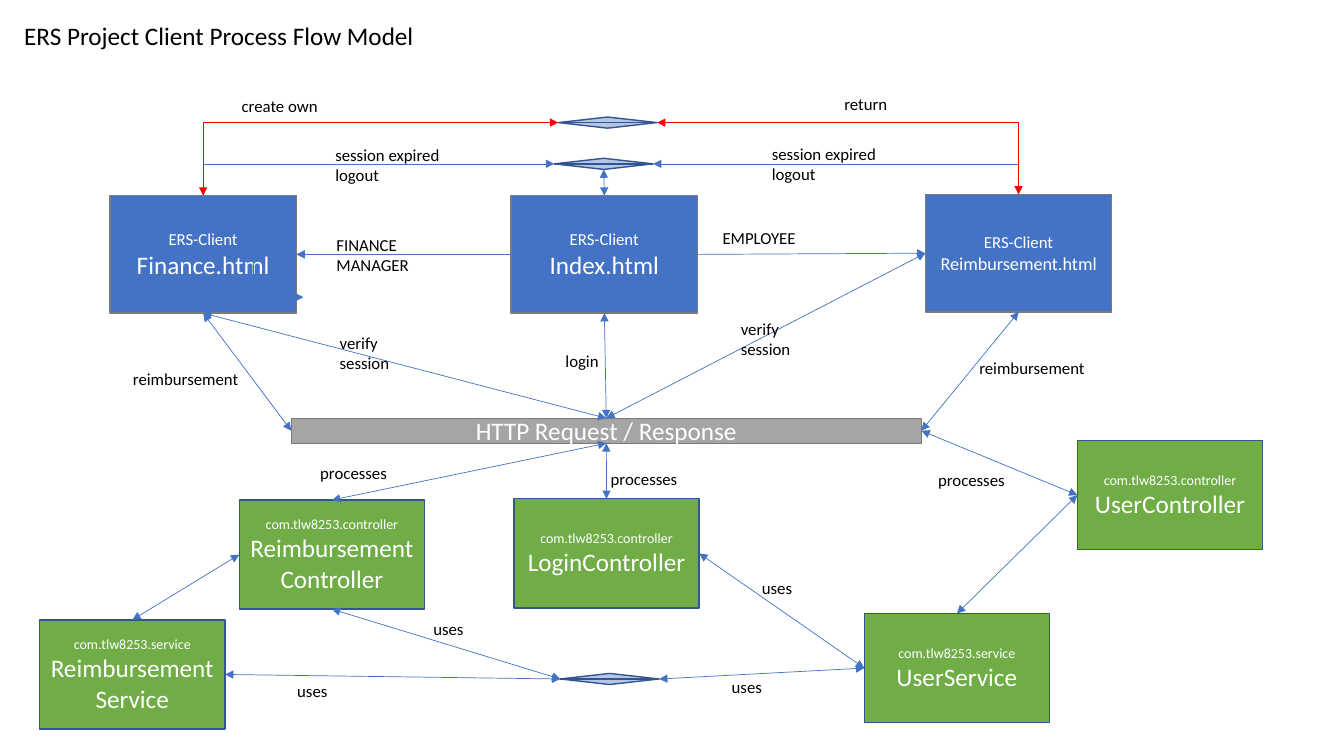
from lxml import etree
from pptx import Presentation
from pptx import util as u
from pptx.dml.color import RGBColor
from pptx.enum import shapes, text
from pptx.oxml.ns import qn

FONT = "Calibri"
BLUE, GREEN, GREY, PALE = "4472C4", "70AD47", "A5A5A5", "B4C7E7"
NAVY, STEEL, RED, BLACK, WHITE = "325491", "7A7A7A", "FF0000", "000000", "FFFFFF"
TOP, LEFT, BOTTOM, RIGHT = range(4)  # connection sites
CLIENT, SERVER, JUNCTION = (4.7, 2.96), (4.67, 2.75), (2.49, 0.28)


def color(hex_code):
    return RGBColor.from_string(hex_code)


def style(p, size, hex_code):
    for r in p.runs:
        r.font.name = FONT
        r.font.size = u.Pt(size)
        r.font.color.rgb = color(hex_code)


def block(s, kind, pos, size, fill, line, lines=()):
    """Filled shape; lines holds (text, point size) pairs."""
    sp = s.shapes.add_shape(kind, *map(u.Cm, pos + size))
    sp.shadow.inherit = False
    sp.fill.solid()
    sp.fill.fore_color.rgb = color(fill)
    sp.line.color.rgb = color(line)
    sp.line.width = u.Pt(1)
    tf = sp.text_frame
    tf.word_wrap = True
    tf.vertical_anchor = text.MSO_ANCHOR.MIDDLE
    tf.text = "\n".join(words for words, _ in lines)
    for p, (_, points) in zip(tf.paragraphs, lines):
        p.alignment = text.PP_ALIGN.CENTER
        style(p, points, WHITE)
    return sp


def client(s, x, y, name, points=18):
    return block(s, shapes.MSO_SHAPE.RECTANGLE, (x, y), CLIENT, BLUE, STEEL,
                 [("ERS-Client", 12), (name, points)])


def server(s, x, y, layer, name):
    return block(s, shapes.MSO_SHAPE.RECTANGLE, (x, y), SERVER, GREEN, NAVY,
                 [("com.tlw8253." + layer, 10), (name, 18)])


def junction(s, x, y):
    return block(s, shapes.MSO_SHAPE.FLOWCHART_SORT, (x, y), JUNCTION, PALE, NAVY)


def label(s, x, y, width, words, height=0.77, size=12):
    tf = s.shapes.add_textbox(*map(u.Cm, (x, y, width, height))).text_frame
    tf.word_wrap = True
    tf.text = words
    for p in tf.paragraphs:
        style(p, size, BLACK)


def draw_line(s, kind, ends, hex_code, heads):
    c = s.shapes.add_connector(kind, *map(u.Cm, ends))
    c.line.color.rgb = color(hex_code)
    c.line.width = u.Pt(0.5)
    spPr = c._element.spPr
    for head in heads:
        etree.SubElement(spPr.find(qn("a:ln")), qn("a:" + head), type="triangle")
    etree.SubElement(spPr, qn("a:effectLst"))
    return c


def link(s, start, start_site, end, end_site, hex_code=BLUE,
         heads=("headEnd", "tailEnd"), corner=False):
    """Arrow glued to two shapes; corner makes it one right-angled bend."""
    kind = shapes.MSO_CONNECTOR.ELBOW if corner else shapes.MSO_CONNECTOR.STRAIGHT
    c = draw_line(s, kind, (0, 0, 0, 0), hex_code, heads)
    if corner:
        c._element.spPr.find(qn("a:prstGeom")).set("prst", "bentConnector2")
    c.begin_connect(start, start_site)
    c.end_connect(end, end_site)


def main():
    prs = Presentation()
    prs.slide_width, prs.slide_height = u.Cm(33.87), u.Cm(19.05)
    s = prs.slides.add_slide(prs.slide_layouts[6])

    label(s, 0.36, 0.38, 10.52, "ERS Project Client Process Flow Model", 1.03, 18)

    # Client pages and the request bar
    finance = client(s, 2.77, 4.93, "Finance.html")
    index = client(s, 12.88, 4.93, "Index.html")
    reimbursement = client(s, 23.32, 4.9, "Reimbursement.html", 13)
    http = block(s, shapes.MSO_SHAPE.RECTANGLE, (7.34, 10.54), (15.88, 0.63),
                 GREY, STEEL, [("HTTP Request / Response", 18)])

    # Controllers and services
    reimb_controller = server(s, 6.03, 12.6, "controller", "ReimbursementController")
    login_controller = server(s, 12.95, 12.57, "controller", "LoginController")
    user_controller = server(s, 27.15, 11.1, "controller", "UserController")
    reimb_service = server(s, 1.0, 15.62, "service", "ReimbursementService")
    user_service = server(s, 21.78, 15.46, "service", "UserService")

    # Junctions
    own = junction(s, 14.07, 2.95)
    logout = junction(s, 13.97, 3.99)
    uses = junction(s, 14.12, 16.97)

    # Right-angled routes above the pages
    for hub, hex_code, heads in ((logout, BLUE, ["headEnd"]),
                                 (own, RED, ["headEnd", "tailEnd"])):
        for site, page in ((LEFT, finance), (RIGHT, reimbursement)):
            link(s, hub, site, page, TOP, hex_code, heads, corner=True)
    draw_line(s, shapes.MSO_CONNECTOR.ELBOW, (5.11, 4.95, 7.65, 7.49), BLUE, ["tailEnd"])

    # One-way routes from the index page
    link(s, index, LEFT, finance, RIGHT, heads=["tailEnd"])
    link(s, index, RIGHT, reimbursement, LEFT, heads=["tailEnd"])

    # Two-way routes
    for ends in (
        (logout, BOTTOM, index, TOP),
        (index, BOTTOM, http, TOP),
        (finance, BOTTOM, http, TOP),
        (reimbursement, LEFT, http, TOP),
        (finance, BOTTOM, http, LEFT),
        (reimbursement, BOTTOM, http, RIGHT),
        (http, BOTTOM, reimb_controller, TOP),
        (http, BOTTOM, login_controller, TOP),
        (http, RIGHT, user_controller, LEFT),
        (user_controller, LEFT, user_service, TOP),
        (login_controller, RIGHT, user_service, LEFT),
        (reimb_controller, LEFT, reimb_service, TOP),
        (reimb_controller, BOTTOM, uses, LEFT),
        (reimb_service, RIGHT, uses, LEFT),
        (uses, RIGHT, user_service, LEFT),
    ):
        link(s, *ends)

    # Single-line route labels
    for words, width, places in (
        ("create own", 2.69, [(5.84, 2.29)]),
        ("return", 1.75, [(21.03, 2.24)]),
        ("EMPLOYEE", 2.64, [(17.96, 5.61)]),
        ("login", 1.5, [(14, 8.71)]),
        ("reimbursement", 3.25, [(3.1, 9.17), (24.43, 8.89)]),
        ("processes", 2.34, [(7.82, 11.53), (15.14, 11.68), (23.39, 11.71)]),
        ("uses", 1.5, [(7.24, 17.02), (10.67, 15.47), (18.19, 16.94), (18.95, 14.43)]),
    ):
        for x, y in places:
            label(s, x, y, width, words)

    # Two-line route labels
    for words, width, places in (
        ("session expired\nlogout", 3.5, [(8.2, 3.53), (19.2, 3.5)]),
        ("FINANCE MANAGER", 2.64, [(8.23, 5.79)]),
        ("verify session", 2.34, [(8.31, 8.26), (18.42, 7.9)]),
    ):
        for x, y in places:
            label(s, x, y, width, words, 1.28)

    prs.save("out.pptx")


main()
